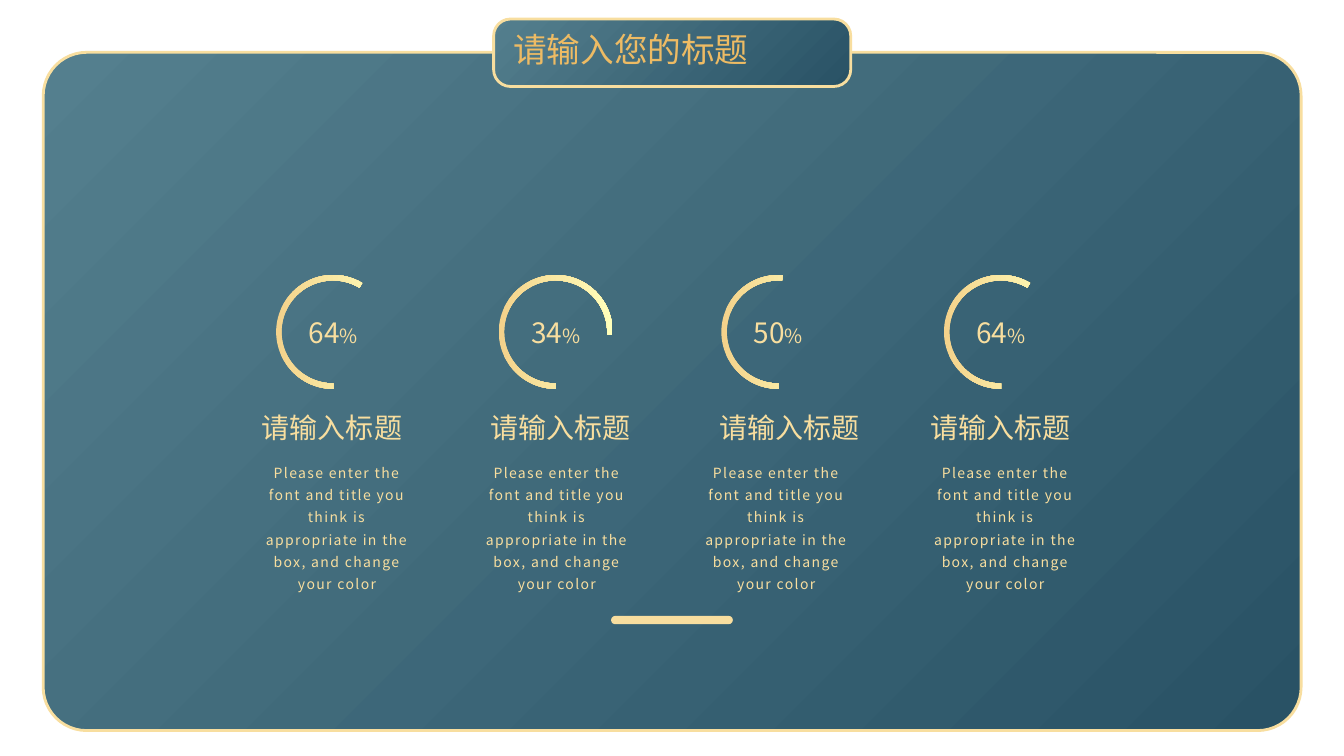
from dataclasses import dataclass

from lxml import etree
from pptx import Presentation
from pptx import util as u
from pptx.dml.color import RGBColor
from pptx.enum import shapes, text
from pptx.oxml.ns import qn


@dataclass(frozen=True)
class Theme:
    font: str = "Noto Sans CJK SC"
    panel: tuple = ("547F8E", "295265")
    arc: tuple = ("F4D28B", "FFFFBB")
    gold: str = "EDBB64"
    cream: str = "F8DE9F"
    title_size: int = 24
    heading_size: int = 20
    percent_size: int = 14
    body_size: int = 10


@dataclass(frozen=True)
class Card:
    percent: str
    arc_angle: float
    heading_dx: float
    body_dx: float


THEME = Theme()
CARDS = [
    Card("64", 89.51, -0.61, -0.61),
    Card("34", 52.31, -0.45, -0.68),
    Card("50", 105.4, -0.3, -0.76),
    Card("64", 89.51, -0.6, -0.6),
]
HEADING = "请输入标题"
BODY = ("Please enter the font and title you think is appropriate "
        "in the box, and change your color")


def cm_box(*lengths):
    return [u.Cm(length) for length in lengths]


def fill_gradient(shape, colours, clockwise):
    shape.fill.gradient()
    shape.fill.gradient_angle = 360 - clockwise
    for stop, colour in zip(shape.fill.gradient_stops, colours):
        stop.color.rgb = RGBColor.from_string(colour)


def style_paragraph(paragraph, size, colour, align, tracking=0):
    paragraph.alignment = align
    font = paragraph.font
    font.size = u.Pt(size)
    font.name = THEME.font
    font.color.rgb = RGBColor.from_string(colour)
    properties = paragraph._p.pPr.find(qn("a:defRPr"))
    latin = properties.find(qn("a:latin"))
    east_asian = etree.Element(qn("a:ea"), typeface=THEME.font)
    latin.addnext(east_asian)
    if tracking:
        properties.set("spc", str(tracking * 100))


def add_label(parent, box, words, size, align, wrap=True, tracking=0):
    frame = parent.add_textbox(*cm_box(*box)).text_frame
    frame.word_wrap = wrap
    frame.auto_size = text.MSO_AUTO_SIZE.SHAPE_TO_FIT_TEXT
    paragraph = frame.paragraphs[0]
    paragraph.add_run().text = words
    style_paragraph(paragraph, size, THEME.cream, align, tracking)
    return paragraph


def add_panel(slide, box, corner):
    panel = slide.shapes.add_shape(
        shapes.MSO_SHAPE.ROUNDED_RECTANGLE, *cm_box(*box))
    panel.adjustments[0] = corner
    panel.shadow.inherit = False
    fill_gradient(panel, THEME.panel, 45)
    panel.line.color.rgb = RGBColor.from_string(THEME.cream)
    panel.line.width = u.Pt(2)


def add_title(slide, left, top, width, height):
    add_panel(slide, (left, top, width, height), 0.25)
    title = slide.shapes.title
    slide.shapes._spTree.append(title._element)
    title.left, title.top, title.width, title.height = cm_box(
        left + 0.24, top + 0.13, width - 0.48, 1.28)
    frame = title.text_frame
    frame.text = "请输入您的标题"
    frame.word_wrap = True
    frame.auto_size = text.MSO_AUTO_SIZE.NONE
    frame.vertical_anchor = text.MSO_ANCHOR.TOP
    style_paragraph(frame.paragraphs[0], THEME.title_size, THEME.gold,
                    text.PP_ALIGN.JUSTIFY)


def add_card(slide, left, top, diameter, card):
    group = slide.shapes.add_group_shape().shapes
    arc = group.add_shape(shapes.MSO_SHAPE.BLOCK_ARC,
                          *cm_box(left, top, diameter, diameter))
    for index, value in enumerate((card.arc_angle, 0.175, 0.048)):
        arc.adjustments[index] = value
    arc.rotation = 270
    arc._element.spPr.xfrm.set("flipH", "1")
    arc.shadow.inherit = False
    fill_gradient(arc, THEME.arc, 90)
    arc.line.fill.background()

    percent = add_label(group, (left + 0.34, top + 0.89, 2.19, 1.11),
                        card.percent, THEME.heading_size, text.PP_ALIGN.CENTER)
    sign = percent.add_run()
    sign.text = "%"
    sign.font.size = u.Pt(THEME.percent_size)

    body = add_label(group, (left + card.body_dx, top + 4.5, 4.29, 3.61),
                     BODY, THEME.body_size, text.PP_ALIGN.CENTER, tracking=1)
    body.line_spacing = u.Pt(16)
    add_label(group, (left + card.heading_dx, top + 3.28, 4.06, 1.11),
              HEADING, THEME.heading_size, text.PP_ALIGN.JUSTIFY, wrap=False)


def add_footer_bar(slide, *box):
    bar = slide.shapes.add_shape(
        shapes.MSO_SHAPE.ROUNDED_RECTANGLE, *cm_box(*box))
    bar.adjustments[0] = 0.5
    bar.shadow.inherit = False
    bar.fill.solid()
    bar.fill.fore_color.rgb = RGBColor.from_string(THEME.cream)
    bar.line.fill.background()


def main():
    deck = Presentation()
    deck.slide_width, deck.slide_height = cm_box(33.87, 19.05)
    slide = deck.slides.add_slide(deck.slide_layouts[5])
    add_panel(slide, (1.09, 1.32, 31.7, 17.09), 0.064)
    add_title(slide, 12.44, 0.48, 9, 1.7)
    for index, card in enumerate(CARDS):
        add_card(slide, 6.96 + 5.61 * index, 6.93, 2.87, card)
    add_footer_bar(slide, 15.4, 15.52, 3.07, 0.21)
    deck.save("out.pptx")


if __name__ == "__main__":
    main()
